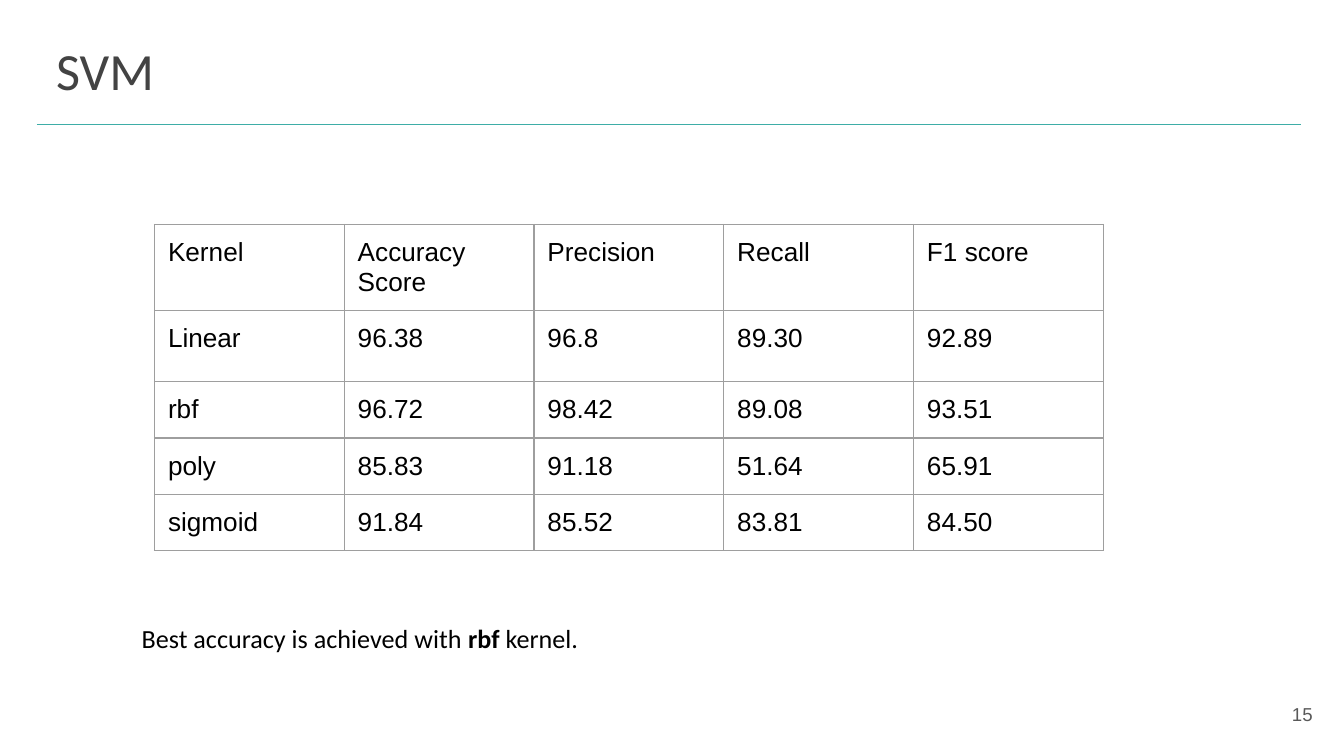
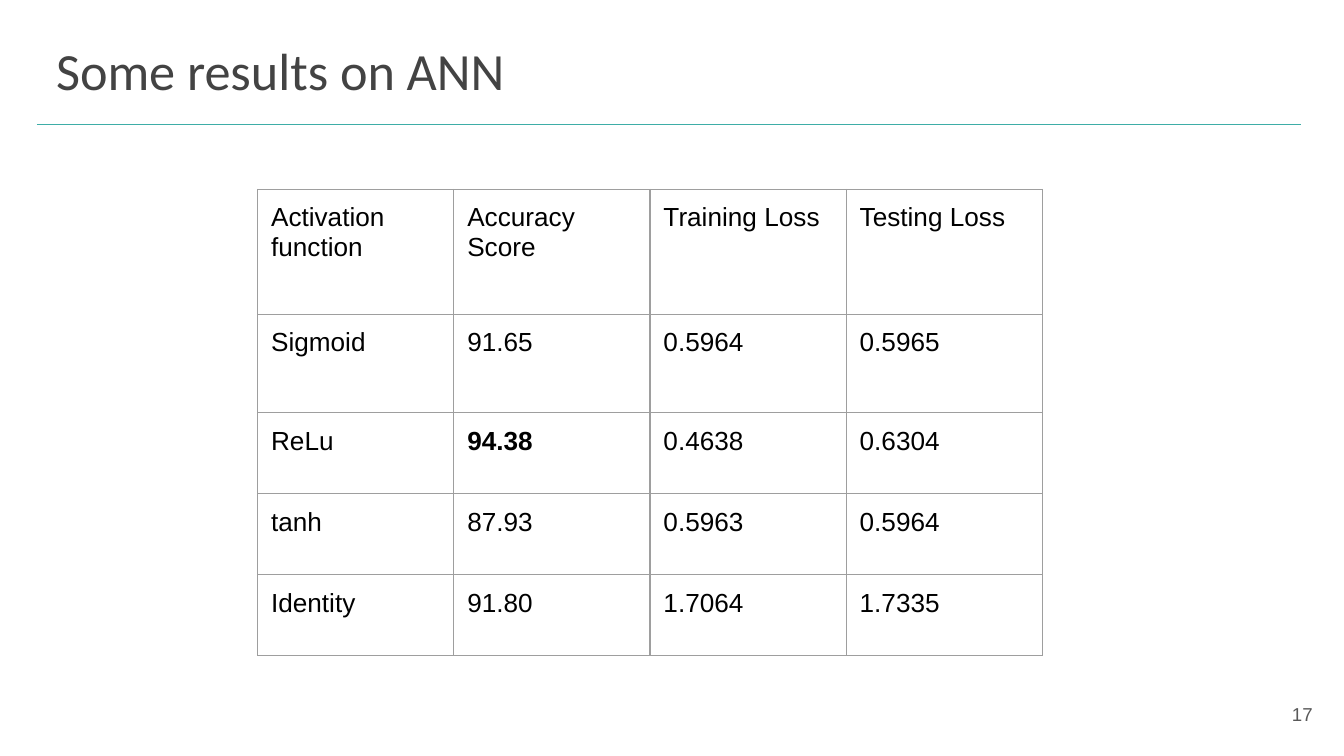
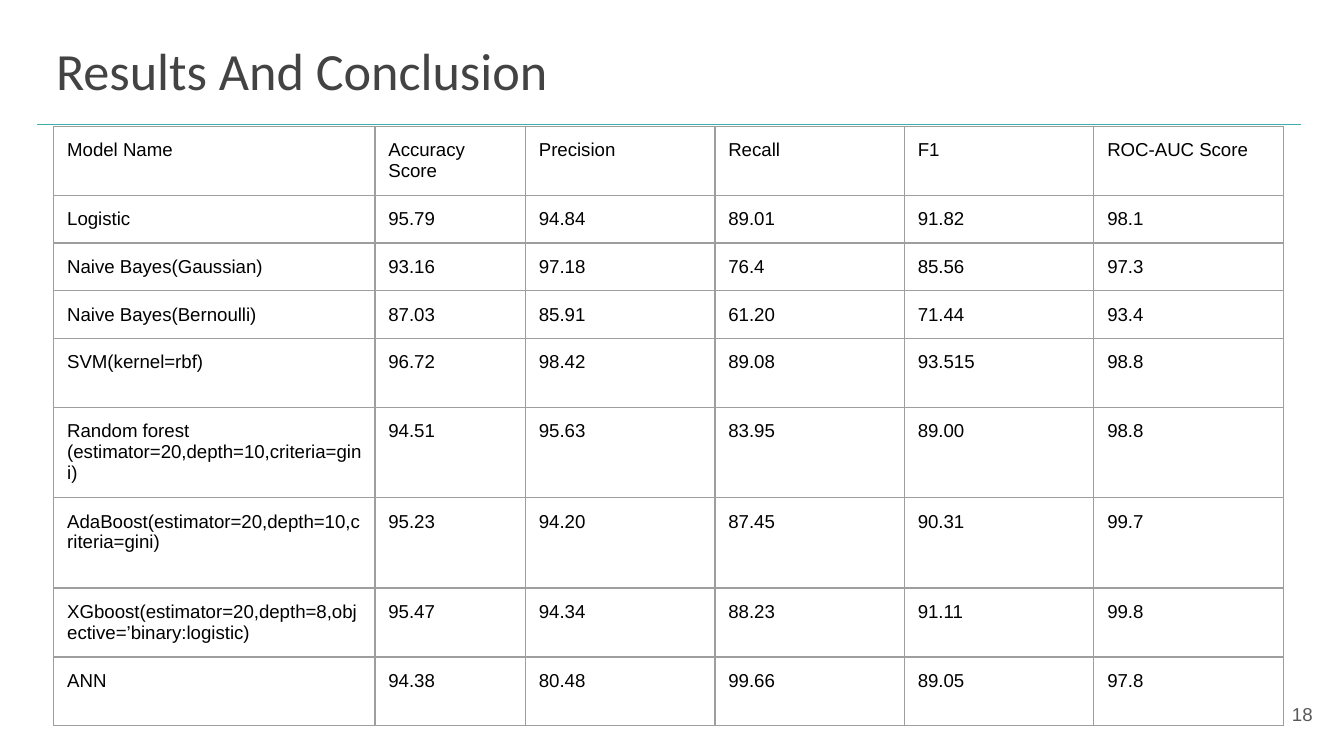
"""Build three slides of classifier results; positions are percentages of the slide."""
from dataclasses import dataclass

from lxml import etree
from pptx import Presentation, util as u
from pptx.dml.color import RGBColor
from pptx.enum import shapes, text
from pptx.oxml.ns import qn

WIDTH = u.Inches(10)
HEIGHT = WIDTH * 9 // 16
INSET = u.Inches(0.1)
COLORS = {"title": "434343", "body": "000000", "number": "595959",
          "rule": "3EADA7", "border": "9E9E9E"}


@dataclass
class Box:
    left: float
    top: float
    width: float
    height: float

    def emu(self) -> tuple:
        """Return left, top, width and height in EMU."""
        return across(self.left), down(self.top), across(self.width), down(self.height)


@dataclass
class Grid:
    left: float
    top: float
    cols: list
    rows: list
    size: int
    cells: list


@dataclass
class Page:
    title: str
    number: int
    grid: Grid
    note: str = ""


TITLE = Box(3.17, 3.3, 93.2, 11.2)
NUMBER = Box(92.65, 90.66, 6, 7.65)
NOTE = Box(6, 80.53, 87.2, 7.82)
RULE = Box(2.75, 16.5, 94.05, 0)

PAGES = [
    Page("SVM", 15, Grid(11.5, 29.69, [14.12] * 5, [11.38, 9.42] + [7.43] * 3, 14, [
        "Kernel|Accuracy Score|Precision|Recall|F1 score",
        "Linear|96.38|96.8|89.30|92.89",
        "rbf|96.72|98.42|89.08|93.51",
        "poly|85.83|91.18|51.64|65.91",
        "sigmoid|91.84|85.52|83.81|84.50",
    ]), "Best accuracy is achieved with *rbf *kernel."),
    Page("Some results on ANN", 17, Grid(19.17, 25.07, [14.6] * 4, [16.55, 13] + [10.72] * 3, 14, [
        "Activation function|Accuracy Score|Training Loss|Testing Loss",
        "Sigmoid|91.65|0.5964|0.5965",
        "ReLu|*94.38*|0.4638|0.6304",
        "tanh|87.93|0.5963|0.5964",
        "Identity|91.80|1.7064|1.7335",
    ])),
    Page("Results And Conclusion", 18, Grid(
        4, 16.71, [23.9, 11.2] + [14.1] * 4,
        [9.12] + [6.31] * 3 + [9.12] + [11.94] * 2 + [9.12] * 2, 10, [
            "Model Name|Accuracy Score|Precision|Recall|F1|ROC-AUC Score",
            "Logistic|95.79|94.84|89.01|91.82|98.1",
            "Naive Bayes(Gaussian)|93.16|97.18|76.4|85.56|97.3",
            "Naive Bayes(Bernoulli)|87.03|85.91|61.20|71.44|93.4",
            "SVM(kernel=rbf)|96.72|98.42|89.08|93.515|98.8",
            "Random forest\n(estimator=20,depth=10,criteria=gini)|94.51|95.63|83.95|89.00|98.8",
            "AdaBoost(estimator=20,depth=10,criteria=gini)|95.23|94.20|87.45|90.31|99.7",
            "XGboost(estimator=20,depth=8,objective=’binary:logistic)|95.47|94.34|88.23|91.11|99.8",
            "ANN|94.38|80.48|99.66|89.05|97.8",
        ])),
]


def across(share: float) -> int:
    """Convert a percentage of the slide width to EMU."""
    return round(WIDTH * share / 100)


def down(share: float) -> int:
    """Convert a percentage of the slide height to EMU."""
    return round(HEIGHT * share / 100)


def write(tf, content: str, *, size: float, color: str = "body", font: str = "Arial",
          align=text.PP_ALIGN.LEFT) -> None:
    """Fill a text frame; newlines split paragraphs and asterisks enclose bold."""
    for n, line in enumerate(content.split("\n")):
        p = tf.add_paragraph() if n else tf.paragraphs[0]
        p.alignment = align
        for i, part in enumerate(line.split("*")):
            if part:
                r = p.add_run()
                r.text = part
                r.font.size, r.font.name, r.font.bold = u.Pt(size), font, i % 2 == 1
                r.font.color.rgb = RGBColor.from_string(COLORS[color])


def inset(target) -> None:
    """Give a text frame or cell equal margins and top anchoring."""
    target.margin_left = target.margin_right = INSET
    target.margin_top = target.margin_bottom = INSET
    target.vertical_anchor = text.MSO_ANCHOR.TOP


def add_text(slide, box: Box, content: str, **style):
    """Add a wrapped text box and return its frame."""
    tf = slide.shapes.add_textbox(*box.emu()).text_frame
    tf.word_wrap = True
    inset(tf)
    write(tf, content, **style)
    return tf


def add_title(slide, content: str) -> None:
    """Place and format the title placeholder."""
    sp = slide.shapes.title
    sp.left, sp.top, sp.width, sp.height = TITLE.emu()
    tf = sp.text_frame
    tf.auto_size = text.MSO_AUTO_SIZE.NONE
    inset(tf)
    write(tf, content, size=28, color="title", font="Calibri")


def add_rule(slide) -> None:
    """Draw the thin rule under the title."""
    x, y, w, h = RULE.emu()
    sp = slide.shapes.add_connector(shapes.MSO_CONNECTOR.STRAIGHT, x, y, x + w, y + h)
    sp.line.color.rgb = RGBColor.from_string(COLORS["rule"])
    sp.line.width = u.Pt(0.75)
    etree.SubElement(sp._element.spPr, qn("a:effectLst"))


def add_borders(cell) -> None:
    """Draw all four borders of a cell."""
    props = cell._tc.get_or_add_tcPr()
    for side in "LRTB":
        ln = etree.SubElement(props, qn(f"a:ln{side}"), w=str(u.Pt(0.75)))
        fill = etree.SubElement(ln, qn("a:solidFill"))
        etree.SubElement(fill, qn("a:srgbClr"), val=COLORS["border"])


def add_grid(slide, grid: Grid) -> None:
    """Add a bordered table without fills."""
    box = Box(grid.left, grid.top, sum(grid.cols), sum(grid.rows))
    table = slide.shapes.add_table(len(grid.rows), len(grid.cols), *box.emu()).table
    table.first_row = table.horz_banding = False
    for col, share in zip(table.columns, grid.cols):
        col.width = across(share)
    for row, share, line in zip(table.rows, grid.rows, grid.cells):
        row.height = down(share)
        for cell, content in zip(row.cells, line.split("|")):
            inset(cell)
            add_borders(cell)
            cell.fill.background()
            write(cell.text_frame, content, size=grid.size)


def add_page(prs, page: Page) -> None:
    """Add one slide with its title, rule, table, note and number."""
    slide = prs.slides.add_slide(prs.slide_layouts.get_by_name("Title Only"))
    add_rule(slide)
    add_title(slide, page.title)
    add_grid(slide, page.grid)
    if page.note:
        tf = add_text(slide, NOTE, page.note, size=14, font="Calibri")
        tf.margin_left = across(4.53)
    tf = add_text(slide, NUMBER, str(page.number), size=10, color="number",
                  align=text.PP_ALIGN.RIGHT)
    tf.vertical_anchor = text.MSO_ANCHOR.MIDDLE


def main() -> None:
    """Build and save the presentation."""
    prs = Presentation()
    prs.slide_width, prs.slide_height = WIDTH, HEIGHT
    for page in PAGES:
        add_page(prs, page)
    prs.save("out.pptx")


if __name__ == "__main__":
    main()
